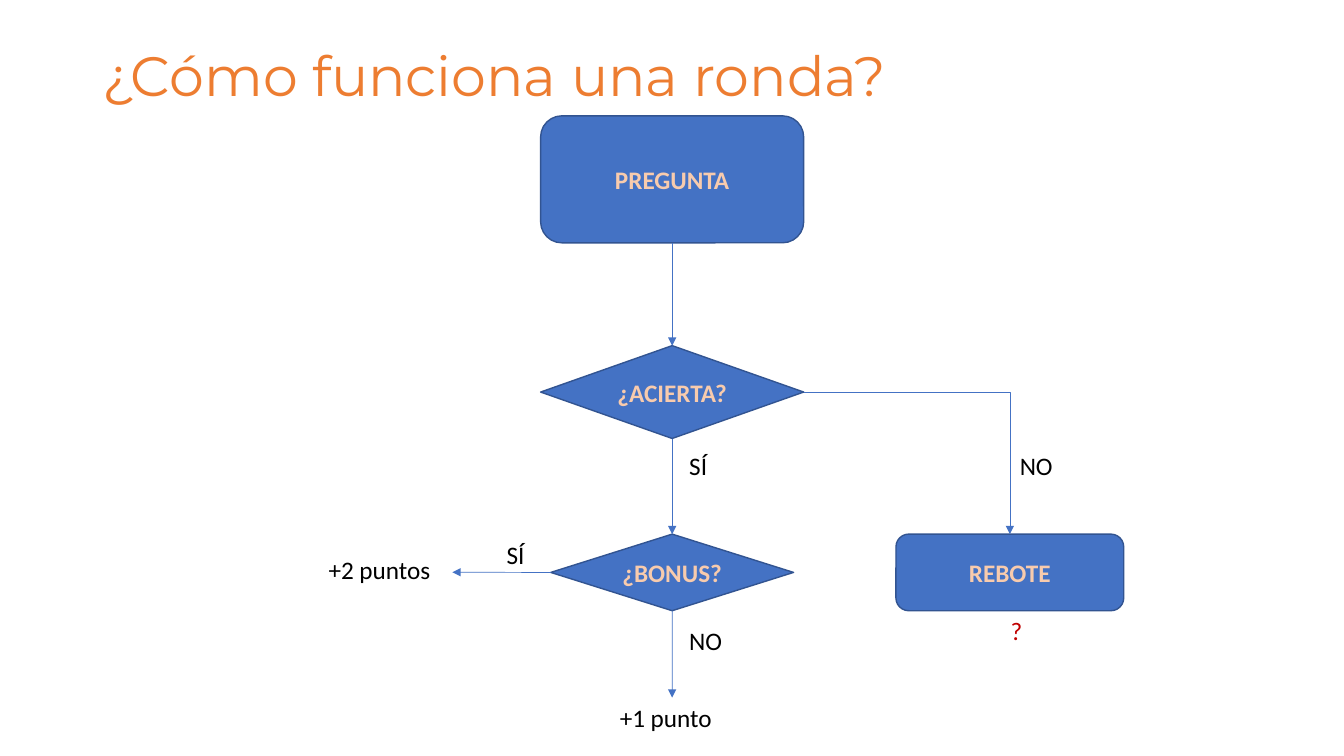
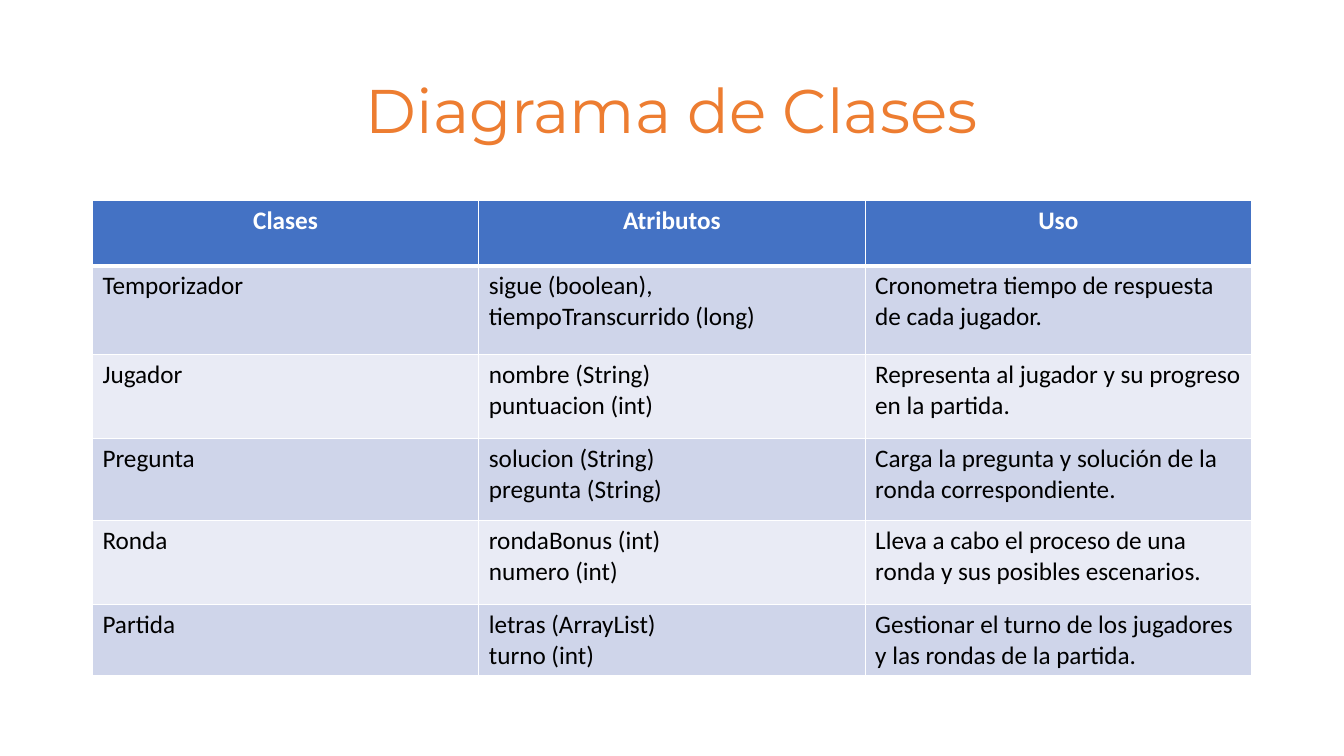
from dataclasses import dataclass
from lxml import etree
from pptx import Presentation
from pptx.dml.color import RGBColor
from pptx.enum import shapes, text
from pptx.oxml import ns
from pptx.util import Cm, Pt

SHAPE = shapes.MSO_SHAPE
LINK = shapes.MSO_CONNECTOR
ALIGN = text.PP_ALIGN
ANCHOR = text.MSO_ANCHOR
TOP, LEFT, BOTTOM, RIGHT = range(4)  # connection sites of a node


@dataclass(frozen=True)
class Theme:
    title: str = "ED7D31"
    blue: str = "4472C4"
    edge: str = "325491"
    node_text: str = "F8CBAD"
    ink: str = "000000"
    alert: str = "C00000"
    white: str = "FFFFFF"
    bands: tuple = ("CFD5EA", "E9EBF5")
    title_font: str = "Montserrat"
    body_font: str = "Calibri"
    title_size: float = 44
    small_title_size: float = 39.6
    body_size: float = 18


THEME = Theme()


@dataclass(frozen=True)
class Box:
    """A region in centimetres."""
    left: float
    top: float
    width: float
    height: float

    def inside(self, left, top, width, height):
        return Box(self.left + left, self.top + top, width, height)

    def cm(self):
        return [Cm(v) for v in (self.left, self.top, self.width, self.height)]


def rgb(color):
    return RGBColor.from_string(color)


def write(tf, content, font=THEME.body_font, size=THEME.body_size, color=THEME.ink,
          bold=False, align=ALIGN.LEFT, spacing=None):
    """Fill a text frame, one paragraph for each line of content."""
    tf.word_wrap = True
    for i, line in enumerate(content.split("\n")):
        p = tf.add_paragraph() if i else tf.paragraphs[0]
        p.alignment = align
        p.line_spacing = spacing
        r = p.add_run()
        r.text = line
        r.font.name, r.font.size, r.font.bold = font, Pt(size), bold
        r.font.color.rgb = rgb(color)


def add_text(slide, box, content, anchor=ANCHOR.TOP, **style):
    tf = slide.shapes.add_textbox(*box.cm()).text_frame
    tf.vertical_anchor = anchor
    write(tf, content, **style)


def add_title(slide, box, content, **style):
    add_text(slide, box, content, anchor=ANCHOR.MIDDLE, font=THEME.title_font,
             color=THEME.title, spacing=0.9, **style)


def add_node(slide, box, kind, label):
    sp = slide.shapes.add_shape(kind, *box.cm())
    sp.shadow.inherit = False
    sp.fill.solid()
    sp.fill.fore_color.rgb = rgb(THEME.blue)
    sp.line.color.rgb = rgb(THEME.edge)
    sp.line.width = Pt(1)
    sp.text_frame.vertical_anchor = ANCHOR.MIDDLE
    write(sp.text_frame, label, color=THEME.node_text, bold=True, align=ALIGN.CENTER)
    return sp


def add_arrow(slide, source, site, target=None, end=(0, 0), elbow=False):
    """Arrow from a node's site to the top of target, or to a free end point in cm."""
    kind = LINK.ELBOW if elbow else LINK.STRAIGHT
    link = slide.shapes.add_connector(kind, 0, 0, Cm(end[0]), Cm(end[1]))
    link.begin_connect(source, site)
    if target is not None:
        link.end_connect(target, TOP)
    link.line.color.rgb = rgb(THEME.blue)
    link.line.width = Pt(0.5)
    props = link._element.spPr
    if elbow:  # a single bend
        props.find(ns.qn("a:prstGeom")).set("prst", "bentConnector2")
    etree.SubElement(props.find(ns.qn("a:ln")), ns.qn("a:tailEnd"), type="triangle")
    etree.SubElement(props, ns.qn("a:effectLst"))


def add_flow(slide, box):
    """Flow chart of one round."""
    main, side = 8.91, 17.42  # centres of the two columns
    node_specs = (
        ("PREGUNTA", SHAPE.ROUNDED_RECTANGLE, main, 0, 6.63, 3.2),
        ("¿ACIERTA?", SHAPE.FLOWCHART_DECISION, main, 5.79, 6.63, 2.34),
        ("¿BONUS?", SHAPE.FLOWCHART_DECISION, main, 10.54, 6.12, 1.93),
        ("REBOTE", SHAPE.ROUNDED_RECTANGLE, side, 10.54, 5.74, 1.93),
    )
    question, correct, bonus, rebound = [
        add_node(slide, box.inside(center - w / 2, top, w, h), kind, label)
        for label, kind, center, top, w, h in node_specs]

    add_arrow(slide, question, BOTTOM, correct)
    add_arrow(slide, correct, BOTTOM, bonus)
    add_arrow(slide, correct, RIGHT, rebound, elbow=True)
    add_arrow(slide, bonus, LEFT, end=(box.left + 3.37, box.top + 11.5))
    add_arrow(slide, bonus, BOTTOM, end=(box.left + main, box.top + 14.66))

    for label, left, top, width, color in (
        ("NO", side, 8.31, 1.6, THEME.ink),
        ("SÍ", 9.09, 8.31, 1.2, THEME.ink),
        ("SÍ", 4.49, 10.54, 1.2, THEME.ink),
        ("NO", 9.09, 12.7, 1.6, THEME.ink),
        ("+2 puntos", 0, 10.92, 3.71, THEME.ink),
        ("+1 punto", 7.34, 14.66, 3.51, THEME.ink),
        ("?", 17.19, 12.47, 1, THEME.alert),
    ):
        add_text(slide, box.inside(left, top, width, 1.03), label, color=color)


def set_borders(cell, **widths):
    """White borders; widths in points by side, in the order L, R, T, B."""
    tc_pr = cell._tc.get_or_add_tcPr()
    for i, (side, width) in enumerate(widths.items()):
        ln = etree.Element(ns.qn(f"a:ln{side}"), w=str(Pt(width)))
        fill = etree.SubElement(ln, ns.qn("a:solidFill"))
        etree.SubElement(fill, ns.qn("a:srgbClr"), val=THEME.white)
        tc_pr.insert(i, ln)


def add_class_table(slide, box, rows, heights):
    columns = len(rows[0])
    table = slide.shapes.add_table(len(rows), columns, *box.cm()).table
    table.horz_banding = False
    for column in table.columns:
        column.width = Cm(box.width / columns)
    for i, (row, height) in enumerate(zip(rows, heights)):
        table.rows[i].height = Cm(height)
        header = i == 0
        style = dict(color=THEME.white, bold=True, align=ALIGN.CENTER) if header else {}
        for j, content in enumerate(row):
            cell = table.cell(i, j)
            cell.fill.solid()
            cell.fill.fore_color.rgb = rgb(THEME.blue if header else THEME.bands[(i - 1) % 2])
            set_borders(cell, L=1, R=1, T=3 if i == 1 else 1, B=3 if header else 1)
            write(cell.text_frame, content, **style)


CLASS_ROWS = (
    ("Clases", "Atributos", "Uso"),
    ("Temporizador", "sigue (boolean), tiempoTranscurrido (long)",
     "Cronometra tiempo de respuesta de cada jugador."),
    ("Jugador", "nombre (String)\npuntuacion (int)",
     "Representa al jugador y su progreso en la partida."),
    ("Pregunta", "solucion (String)\npregunta (String)",
     "Carga la pregunta y solución de la ronda correspondiente."),
    ("Ronda", "rondaBonus (int)\nnumero (int)",
     "Lleva a cabo el proceso de una ronda y sus posibles escenarios."),
    ("Partida", "letras (ArrayList)\nturno (int)",
     "Gestionar el turno de los jugadores y las rondas de la partida."),
)
ROW_HEIGHTS = (1.65, 2.24, 2.11, 2.06, 2.13, 1.65)


def main():
    prs = Presentation()
    prs.slide_width, prs.slide_height = Cm(33.87), Cm(19.05)
    blank = prs.slide_layouts[6]

    slide = prs.slides.add_slide(blank)
    add_title(slide, Box(2.33, 1.01, 29.21, 1.92), "¿Cómo funciona una ronda?",
              size=THEME.small_title_size)
    add_flow(slide, Box(8.03, 2.92, 20.29, 15.69))

    slide = prs.slides.add_slide(blank)
    add_title(slide, Box(2.33, 1.01, 29.21, 3.68), "Diagrama de Clases",
              size=THEME.title_size, align=ALIGN.CENTER)
    add_class_table(slide, Box(2.33, 5.05, 29.21, sum(ROW_HEIGHTS)), CLASS_ROWS, ROW_HEIGHTS)

    prs.save("out.pptx")


if __name__ == "__main__":
    main()
